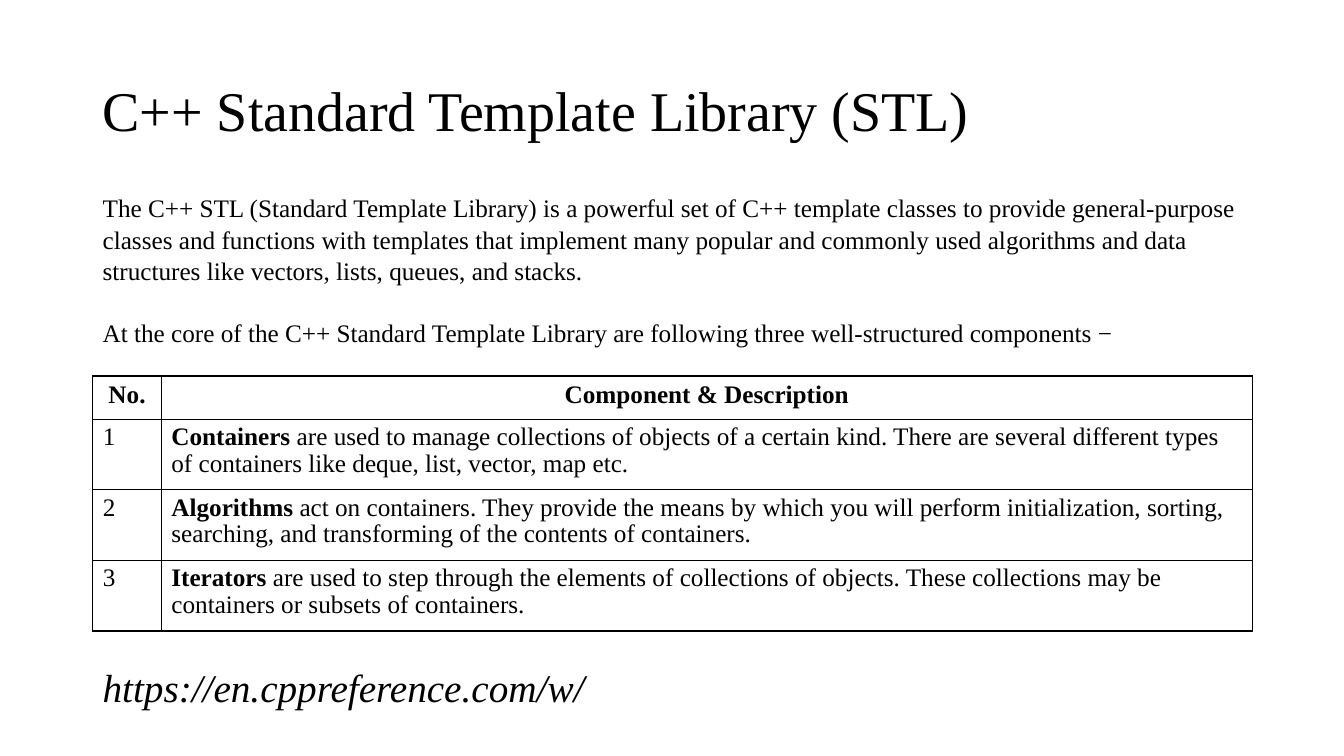
from dataclasses import dataclass

from lxml import etree
from pptx import Presentation
from pptx import util as u
from pptx.dml.color import RGBColor
from pptx.enum import text
from pptx.oxml import ns


@dataclass(frozen=True)
class Theme:
    face: str = "Times New Roman"
    ink: str = "000000"
    title: int = 40
    body: int = 18
    link: int = 28
    rule: int = 1


class Page:
    """Draws styled text and tables on one slide."""

    def __init__(self, slide, theme):
        self.slide = slide
        self.theme = theme

    def put(self, target, **values):
        for name, value in values.items():
            setattr(target, name, value)

    def run(self, para, words, size, **style):
        run = para.add_run()
        run.text = words
        self.put(run.font, name=self.theme.face, size=u.Pt(size), **style)
        run.font.color.rgb = RGBColor.from_string(self.theme.ink)

    def box(self, place, lines, size, form, anchor=text.MSO_ANCHOR.TOP, gap=0, **style):
        frame = self.slide.shapes.add_textbox(*map(u.Inches, place)).text_frame
        self.put(frame, word_wrap=True, vertical_anchor=anchor)
        for i, line in enumerate(lines):
            para = frame.add_paragraph() if i else frame.paragraphs[0]
            self.put(para, **form)
            if i:
                para.space_before = u.Pt(gap)
            self.run(para, line, size, **style)

    def edge(self, cell):
        props = cell._tc.get_or_add_tcPr()
        for i, side in enumerate(("lnL", "lnR", "lnT", "lnB")):
            line = etree.Element(ns.qn(f"a:{side}"), w=str(u.Pt(self.theme.rule)))
            fill = etree.SubElement(line, ns.qn("a:solidFill"))
            etree.SubElement(fill, ns.qn("a:srgbClr"), val=self.theme.ink)
            props.insert(i, line)

    def cell(self, cell, parts, form):
        cell.fill.background()
        self.edge(cell)
        para = cell.text_frame.paragraphs[0]
        self.put(para, **form)
        for words, bold in parts:
            self.run(para, words, self.theme.body, bold=bold)

    def table(self, place, cols, rows, head, items):
        shape = self.slide.shapes.add_table(len(rows), len(cols), *map(u.Inches, place))
        grid = shape.table
        self.put(grid, first_row=False, horz_banding=False)
        for col, width in zip(grid.columns, cols):
            col.width = u.Inches(width)
        for row, height in zip(grid.rows, rows):
            row.height = u.Inches(height)
        for i, words in enumerate(head):
            self.cell(grid.cell(0, i), [(words, True)], {"alignment": text.PP_ALIGN.CENTER})
        for i, (term, words) in enumerate(items, 1):
            self.cell(grid.cell(i, 0), [(str(i), False)], {"line_spacing": 0.95})
            self.cell(grid.cell(i, 1), [(term, True), (words, False)], {"line_spacing": 0.95})


INTRO = [
    "The C++ STL (Standard Template Library) is a powerful set of C++ template classes "
    "to provide general-purpose classes and functions with templates that implement many "
    "popular and commonly used algorithms and data structures like vectors, lists, "
    "queues, and stacks.",
    "At the core of the C++ Standard Template Library are following three "
    "well-structured components −",
]
PARTS = [
    ("Containers", " are used to manage collections of objects of a certain kind. There are "
     "several different types of containers like deque, list, vector, map etc."),
    ("Algorithms", " act on containers. They provide the means by which you will perform "
     "initialization, sorting, searching, and transforming of the contents of containers."),
    ("Iterators", " are used to step through the elements of collections of objects. These "
     "collections may be containers or subsets of containers."),
]


def main():
    deck = Presentation()
    deck.slide_width, deck.slide_height = u.Inches(13.33), u.Inches(7.5)
    theme = Theme()
    page = Page(deck.slides.add_slide(deck.slide_layouts[6]), theme)
    left, width = 0.92, 11.5
    page.box((left, 0.4, width, 1.45), ["C++ Standard Template Library (STL)"], theme.title,
             {"line_spacing": 0.9}, text.MSO_ANCHOR.MIDDLE)
    page.box((left, 1.85, width, 1.62), INTRO, theme.body, {"line_spacing": 1.04}, gap=21.6)
    page.table((left, 3.73, width, 2.53), [0.68, 10.82], [0.43] + [0.7] * len(PARTS),
               ["No.", "Component & Description"], PARTS)
    page.box((left, 6.53, 6.67, 0.57), ["https://en.cppreference.com/w/"], theme.link, {},
             italic=True)
    deck.save("out.pptx")


if __name__ == "__main__":
    main()
